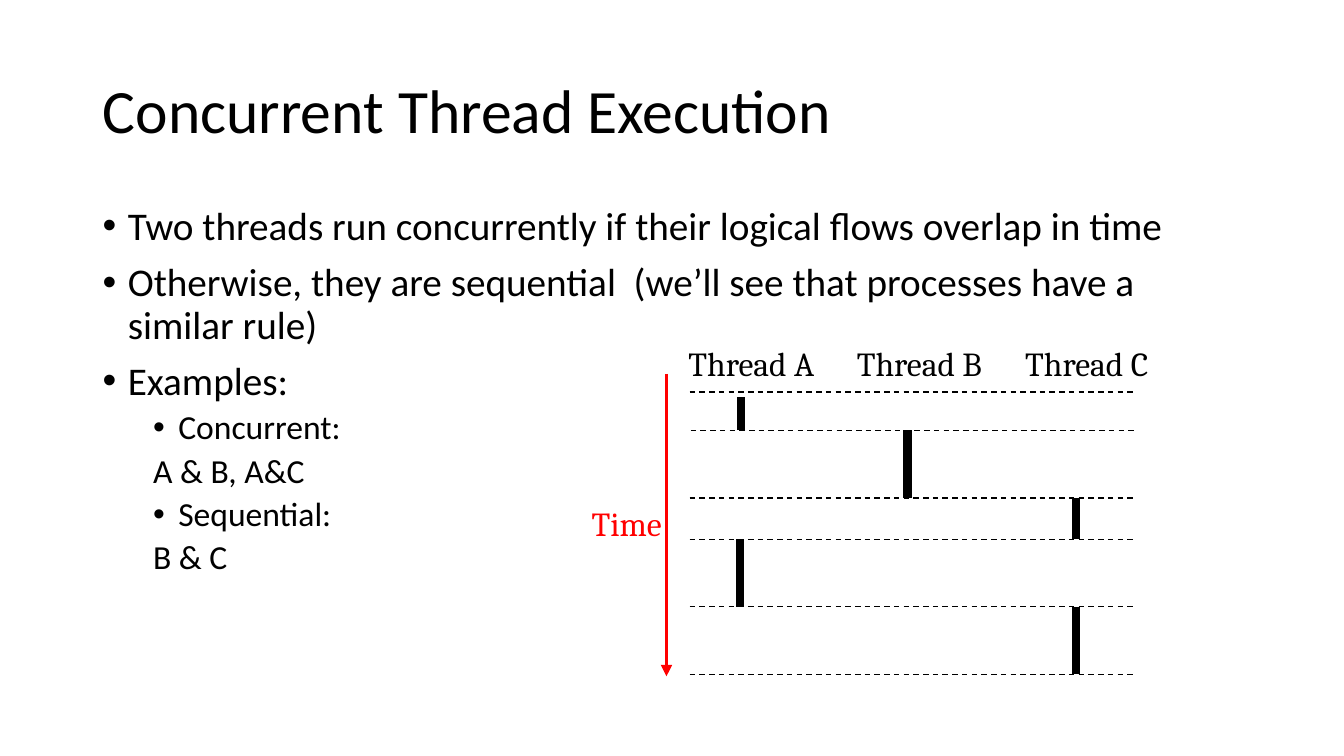
from lxml import etree
from pptx import Presentation
from pptx.dml.color import RGBColor
from pptx.enum.dml import MSO_LINE
from pptx.enum.shapes import MSO_CONNECTOR
from pptx.enum.text import MSO_ANCHOR, MSO_AUTO_SIZE, PP_ALIGN
from pptx.oxml.ns import qn
from pptx.util import Pt

PX = 9144
COLORS = {"ink": "000000", "time": "FF0000"}
STRAIGHT = MSO_CONNECTOR.STRAIGHT
DASH = MSO_LINE.DASH
LEFT = PP_ALIGN.LEFT
TOP, MIDDLE = MSO_ANCHOR.TOP, MSO_ANCHOR.MIDDLE
FIXED, GROW = MSO_AUTO_SIZE.NONE, MSO_AUTO_SIZE.SHAPE_TO_FIT_TEXT


def write(para, text, size, font="Calibri", color="ink", spacing=1.0, before=0):
    para.alignment = LEFT
    para.line_spacing = spacing
    para.space_before = Pt(before)
    span = para.add_run()
    span.text = text
    span.font.size = Pt(size)
    span.font.name = font
    span.font.color.rgb = RGBColor.from_string(COLORS[color])


def add_line(x1, y1, x2, y2, width, color="ink", dash=None):
    line = slide.shapes.add_connector(STRAIGHT, x1 * PX, y1 * PX, x2 * PX, y2 * PX)
    line.line.width = Pt(width)
    line.line.color.rgb = RGBColor.from_string(COLORS[color])
    if dash:
        line.line.dash_style = dash
    etree.SubElement(line._element.spPr, qn("a:effectLst"))
    return line


deck = Presentation()
deck.slide_width = 1333 * PX
deck.slide_height = 750 * PX
slide = deck.slides.add_slide(deck.slide_layouts[5])

title = slide.shapes.title
title.left, title.top, title.width, title.height = 92 * PX, 40 * PX, 1150 * PX, 145 * PX
title.text_frame.vertical_anchor = MIDDLE
title.text_frame.auto_size = FIXED
write(title.text_frame.paragraphs[0], "Concurrent Thread Execution", 44, spacing=0.9)

body = slide.shapes.add_textbox(92 * PX, 200 * PX, 1150 * PX, 476 * PX).text_frame
body.word_wrap = True
body.vertical_anchor = TOP
points = [
    (0, True, "Two threads run concurrently if their logical flows overlap in time"),
    (0, True, "Otherwise, they are sequential  (we’ll see that processes have a similar rule)"),
    (0, True, "Examples:"),
    (1, True, "Concurrent:"),
    (1, False, "A & B, A&C"),
    (1, True, "Sequential:"),
    (1, False, "B & C"),
]
for index, (level, bulleted, text) in enumerate(points):
    para = body.add_paragraph() if index else body.paragraphs[0]
    write(para, text, 28 - 4 * level, spacing=0.9, before=10 - 5 * level)
    para.level = level
    properties = para._p.get_or_add_pPr()
    properties.set("marL", str((25 + 50 * level) * PX))
    properties.set("indent", str(-25 * PX))
    if bulleted:
        etree.SubElement(properties, qn("a:buFont")).set("typeface", "Arial")
        etree.SubElement(properties, qn("a:buChar")).set("char", "•")
    else:
        etree.SubElement(properties, qn("a:buNone"))

time_arrow = add_line(661, 371, 661, 671, 2.75, color="time")
time_arrow.line._get_or_add_ln().append(
    etree.Element(qn("a:tailEnd"), type="triangle")
)

labels = [
    ("Time", 577, 494, 90, "time"),
    ("Thread A", 673, 335, 146, "ink"),
    ("Thread B", 840, 335, 146, "ink"),
    ("Thread C", 1007, 335, 146, "ink"),
]
for text, left, top, width, color in labels:
    label = slide.shapes.add_textbox(left * PX, top * PX, width * PX, 50 * PX).text_frame
    label.word_wrap = False
    label.auto_size = GROW
    write(label.paragraphs[0], text, 24, font="Cambria", color=color)

switches = [389, 427, 494, 535, 602, 669]
for y in switches:
    shift = 1 if y == 427 else 0
    add_line(684 + shift, y, 1125 + shift, y, 1, dash=DASH)

running = [735, 900, 1067, 734, 1067]
starts = [394] + switches[1:-1]
for x, start, end in zip(running, starts, switches[1:]):
    add_line(x, start, x, end, 6)

deck.save("out.pptx")
